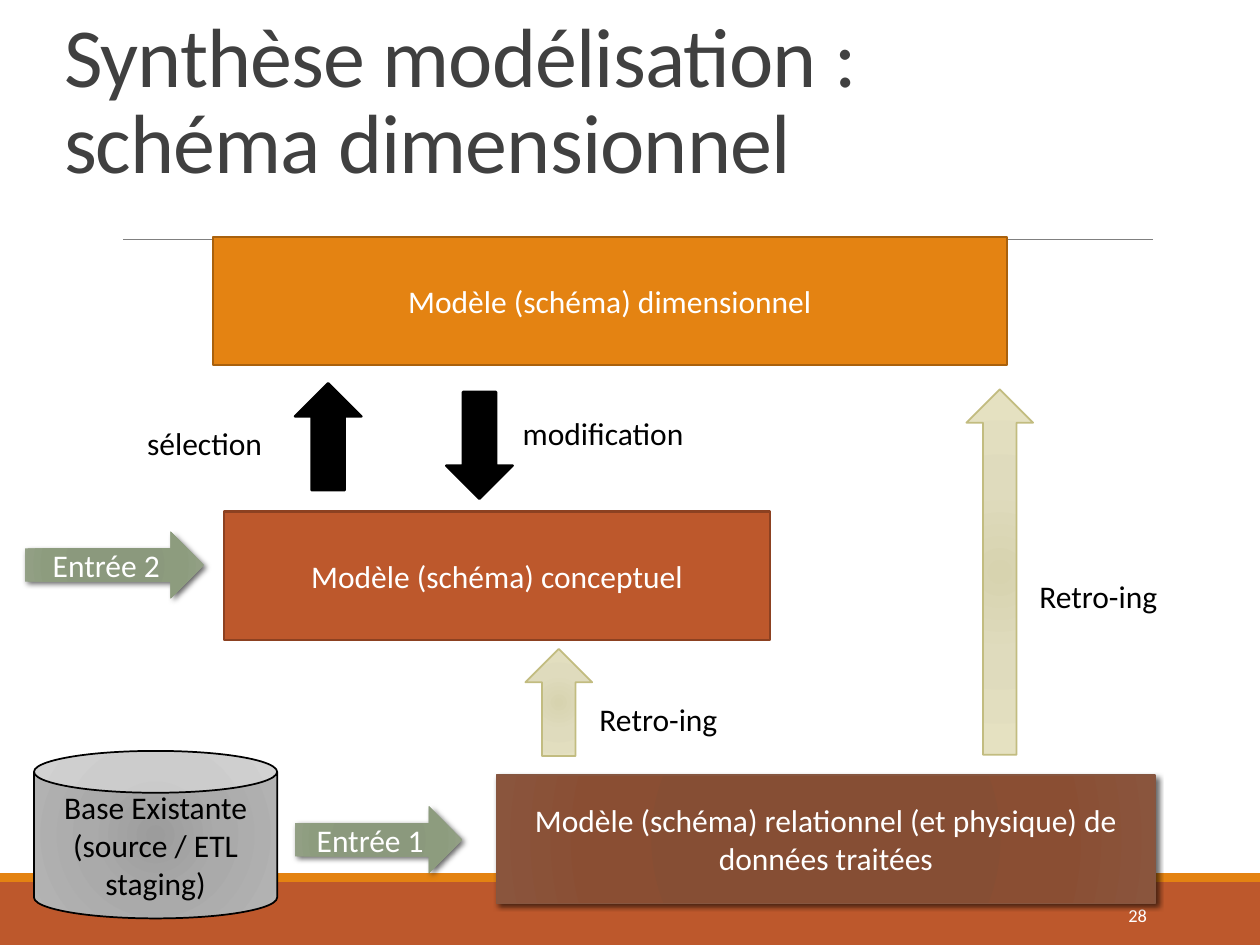
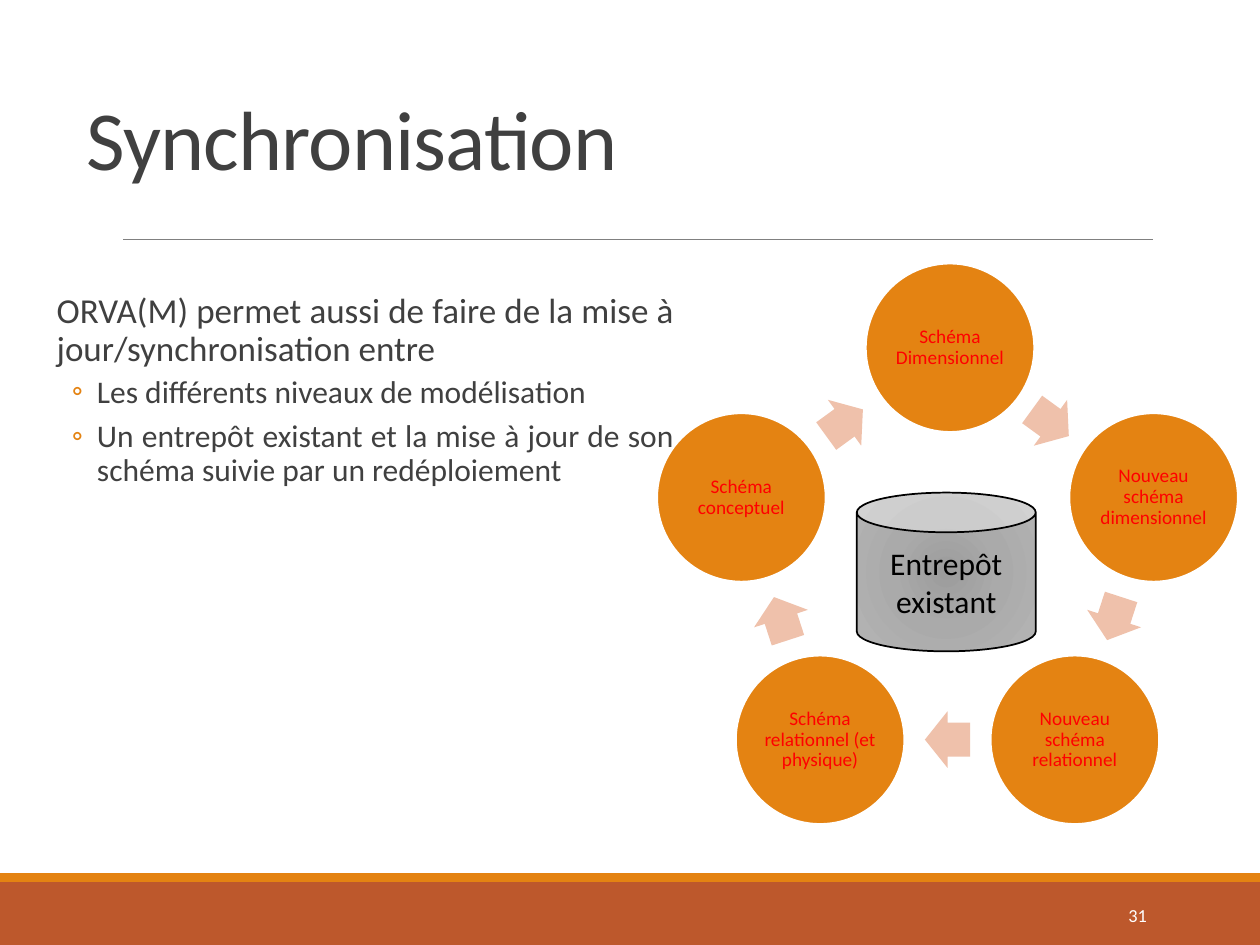
from math import cos, radians, sin

from lxml.etree import SubElement
from pptx import Presentation
from pptx.dml.color import RGBColor
from pptx.enum.shapes import MSO_CONNECTOR, MSO_SHAPE
from pptx.enum.text import MSO_ANCHOR, PP_ALIGN
from pptx.oxml import parse_xml
from pptx.oxml.ns import nsdecls, qn
from pptx.util import Inches, Pt

ORANGE, RUST, WHITE, BLACK, GREY = "E48312", "BD582C", "FFFFFF", "000000", "404040"


def hue(code):
    return RGBColor.from_string(code)


def write(box, text, size=18, ink=BLACK, align=PP_ALIGN.LEFT, anchor=MSO_ANCHOR.TOP,
          lead=None, inset=(0.1, 0.05), track=None):
    frame = box.text_frame
    frame.word_wrap = True
    frame.vertical_anchor = anchor
    frame.margin_left = frame.margin_right = Inches(inset[0])
    frame.margin_top = frame.margin_bottom = Inches(inset[1])
    para = frame.add_paragraph() if frame.text else frame.paragraphs[0]
    para.text = text
    para.alignment = align
    para.line_spacing = lead
    for run in para.runs:
        run.font.name = "Calibri"
        run.font.size = Pt(size)
        run.font.color.rgb = hue(ink)
        if track:
            run._r.get_or_add_rPr().set("spc", str(track))
    return para


deck = Presentation()
deck.slide_width, deck.slide_height = Inches(10), Inches(7.5)

pages = []
for title, left, top, number in [
    ("Synthèse modélisation :\vschéma dimensionnel", 0.41, -0.03, "28"),
    ("Synchronisation", 0.59, -0.05, "31"),
]:
    page = deck.slides.add_slide(deck.slide_layouts[6]).shapes
    pages.append(page)
    for y, high, tint in [(7, 0.5, RUST), (6.93, 0.07, ORANGE)]:
        band = page.add_shape(MSO_SHAPE.RECTANGLE, 0, Inches(y), Inches(10), Inches(high))
        band.shadow.inherit = False
        band.fill.solid()
        band.fill.fore_color.rgb = hue(tint)
        band.line.fill.background()
    rule = page.add_connector(MSO_CONNECTOR.STRAIGHT, Inches(0.98), Inches(1.9),
                              Inches(9.15), Inches(1.9))
    rule.line.color.rgb = hue("808080")
    rule.line.width = Pt(0.5)
    SubElement(rule._element.spPr, qn("a:effectLst"))
    head = page.add_textbox(Inches(left), Inches(top), Inches(8.25), Inches(1.59))
    write(head, title, size=48, ink=GREY, anchor=MSO_ANCHOR.BOTTOM, lead=0.85, track=-50)
    foot = page.add_textbox(Inches(8.12), Inches(7.06), Inches(1.08), Inches(0.4))
    write(foot, number, size=10.5, ink=WHITE, align=PP_ALIGN.RIGHT, anchor=MSO_ANCHOR.MIDDLE)

model, sync = pages

body = sync.add_textbox(Inches(0.35), Inches(2.28), Inches(5), Inches(4.78))
for text, size, left, hang, above, below in [
    ("ORVA(M) permet aussi de faire de la mise à jour/synchronisation entre", 20, 0.1, 0, 12, 2),
    ("Les différents niveaux de modélisation", 18, 0.42, -0.2, 2, 4),
    ("Un entrepôt existant et la mise à jour de son schéma suivie par un redéploiement",
     18, 0.42, -0.2, 2, 4),
]:
    para = write(body, text, size=size, ink=GREY, align=PP_ALIGN.JUSTIFY, lead=0.9,
                 inset=(0, 0.05))
    para.space_before, para.space_after = Pt(above), Pt(below)
    props = para._p.get_or_add_pPr()
    props.set("marL", str(Inches(left)))
    props.set("indent", str(Inches(hang)))
    if hang:
        SubElement(SubElement(props, qn("a:buClr")), qn("a:srgbClr")).set("val", ORANGE)
        SubElement(props, qn("a:buFont")).set("typeface", "Calibri")
        SubElement(props, qn("a:buChar")).set("char", "◦")

brown = [(0, "874C32"), (34, "864E34"), (70, "8A4E33"), (100, "8A553D")]
green = [(0, "8A987B"), (34, "8B997D"), (70, "8D9C7E"), (100, "94A187")]
sand = [(0, "D7D3AF"), (45, "DFDBBD"), (100, "E5E1C1")]
steel = [(0, "9C9C9C"), (45, "AAAAAA"), (100, "B4B4B4")]

styles = {
    "star": (MSO_SHAPE.RECTANGLE, ORANGE, "A9610D", 1.25, WHITE, 0),
    "concept": (MSO_SHAPE.RECTANGLE, RUST, "8C4121", 1.25, WHITE, 0),
    "table": (MSO_SHAPE.RECTANGLE, brown, "865640", 1, WHITE, 3),
    "step": (MSO_SHAPE.UP_ARROW, BLACK, BLACK, 1.25, WHITE, 0),
    "retro": (MSO_SHAPE.UP_ARROW, sand, "C2BC80", 1, BLACK, 0),
    "store": (MSO_SHAPE.CAN, steel, BLACK, 1, BLACK, 0),
    "entry": (MSO_SHAPE.RIGHT_ARROW, green, None, 0, WHITE, 3.5),
    "node": (MSO_SHAPE.OVAL, ORANGE, WHITE, 1.25, "FF0000", 0),
    "turn": (MSO_SHAPE.RIGHT_ARROW, "EFC1AB", None, 0, BLACK, 0),
}

items = [
    (model, "star", 1.69, 1.88, 6.3, 1.02, "Modèle (schéma) dimensionnel", 0),
    (model, "concept", 1.78, 4.06, 4.33, 1.02, "Modèle (schéma) conceptuel", 0),
    (model, "table", 3.94, 6.15, 5.23, 1.02,
     "Modèle (schéma) relationnel (et physique) de données traitées", 0),
    (model, "step", 2.34, 3.04, 0.53, 0.85, "", 0),
    (model, "step", 3.54, 3.11, 0.53, 0.85, "", 180),
    (model, "retro", 4.17, 5.15, 0.53, 0.85, "", 0),
    (model, "retro", 7.67, 3.09, 0.53, 2.9, "", 0),
    (model, "store", 0.27, 5.96, 1.93, 1.33, "Base Existante (source / ETL staging)", 0),
    (model, "entry", 2.34, 6.4, 1.33, 0.53, "Entrée 1", 0),
    (model, "entry", 0.2, 4.22, 1.42, 0.53, "Entrée 2", 0),
    (sync, "store", 6.8, 3.91, 1.42, 1.26, "Entrepôt existant", 0),
]

for step, (text, shift) in enumerate([
    ("Schéma Dimensionnel", 0.02),
    ("Nouveau schéma dimensionnel", 0),
    ("Nouveau schéma relationnel", 0),
    ("Schéma relationnel (et physique)", 0),
    ("Schéma conceptuel", 0),
]):
    for style, turn, reach, wide, high, label, move, spin in [
        ("node", 72 * step, 1.72, 1.34, 1.34, text, shift, 0),
        ("turn", 72 * step + 36, 1.39, 0.36, 0.45, "", 0, 72 * step + 36),
    ]:
        x = 7.52 + move + reach * sin(radians(turn)) - wide / 2
        y = 4.48 - reach * cos(radians(turn)) - high / 2
        items.append((sync, style, x, y, wide, high, label, spin))

for page, style, x, y, wide, high, text, spin in items:
    kind, fill, edge, width, ink, blur = styles[style]
    shape = page.add_shape(kind, Inches(x), Inches(y), Inches(wide), Inches(high))
    shape.rotation = spin
    shape.shadow.inherit = False
    props = shape._element.spPr
    shape.fill.solid()
    if isinstance(fill, str):
        shape.fill.fore_color.rgb = hue(fill)
    else:
        stops = "".join(f'<a:gs pos="{at * 1000}"><a:srgbClr val="{tint}"/></a:gs>'
                        for at, tint in fill)
        blend = parse_xml(
            f'<a:gradFill {nsdecls("a")} rotWithShape="1"><a:gsLst>{stops}</a:gsLst>'
            '<a:path path="circle"><a:fillToRect l="100000" t="100000" r="100000" b="100000"/>'
            '</a:path></a:gradFill>')
        props.replace(props.find(qn("a:solidFill")), blend)
    if edge:
        shape.line.color.rgb = hue(edge)
        shape.line.width = Pt(width)
    else:
        shape.line.fill.background()
    if blur:
        props.find(qn("a:effectLst")).append(parse_xml(
            f'<a:outerShdw {nsdecls("a")} blurRad="{Pt(blur)}" dist="{Pt(2)}" dir="2700000" '
            'algn="tl" rotWithShape="0"><a:srgbClr val="000000"><a:alpha val="60000"/>'
            '</a:srgbClr></a:outerShdw>'))
    if style == "turn":
        shape.adjustments[0], shape.adjustments[1] = 0.6, 0.5
    if text:
        look = {"size": 11, "lead": 0.9, "inset": (0.02, 0.02)} if style == "node" else {}
        write(shape, text, ink=ink, align=PP_ALIGN.CENTER, anchor=MSO_ANCHOR.MIDDLE, **look)

for text, x, y, wide in [
    ("sélection", 1.07, 3.32, 1.47),
    ("Retro-ing", 4.66, 5.51, 1.47),
    ("Retro-ing", 8.15, 4.53, 1.47),
    ("modification", 4.05, 3.24, 1.79),
]:
    write(model.add_textbox(Inches(x), Inches(y), Inches(wide), Inches(0.4)), text)

deck.save("out.pptx")
